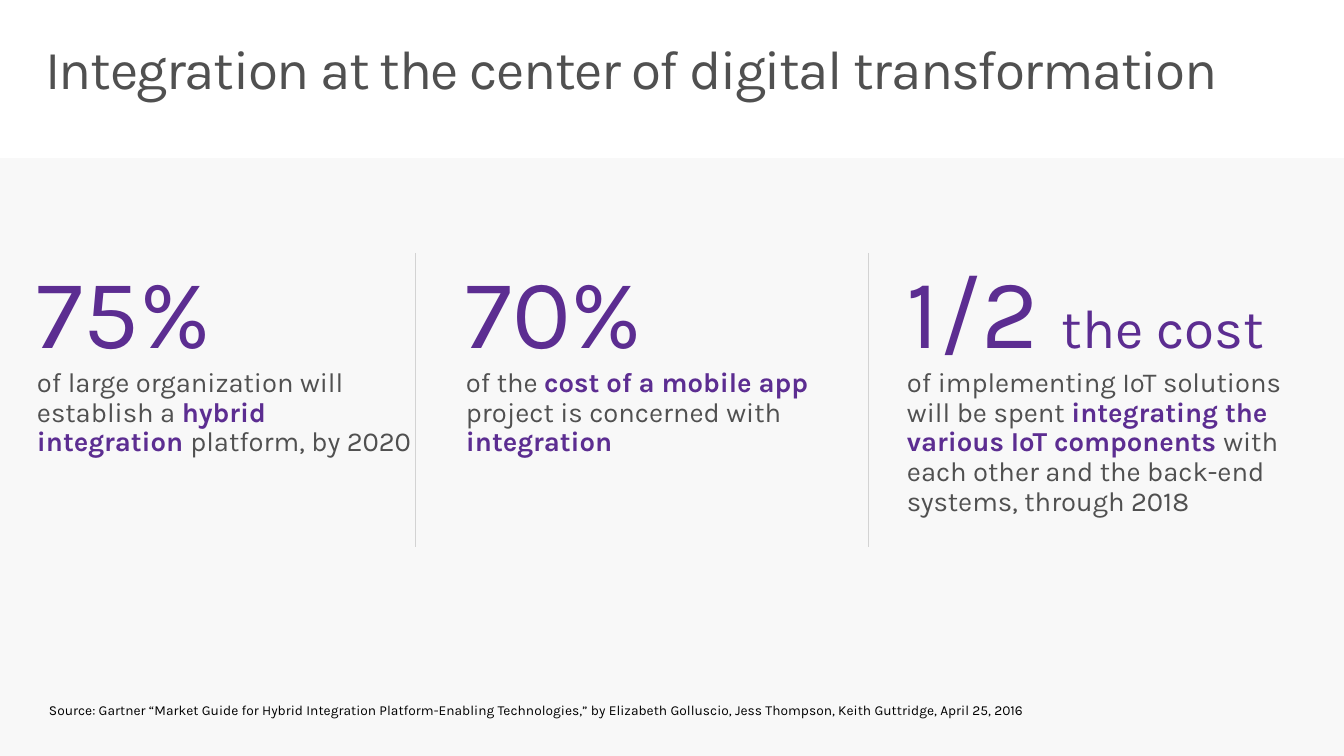
from pptx import Presentation
from pptx.dml.color import RGBColor
from pptx.enum.shapes import MSO_CONNECTOR as Connector, MSO_SHAPE as Shape
from pptx.enum.text import MSO_ANCHOR as Anchor, MSO_AUTO_SIZE as AutoSize, PP_ALIGN as Align
from pptx.oxml.ns import qn
from pptx.util import Emu, Pt
from lxml.etree import SubElement

FONT = "Karla"
WHITE = RGBColor(0xFF, 0xFF, 0xFF)
PAPER = RGBColor(0xF8, 0xF8, 0xF8)
GRAY = RGBColor(0x50, 0x50, 0x50)
RULE = RGBColor(0xD3, 0xD3, 0xD3)
PURPLE = RGBColor(0x5C, 0x2D, 0x91)
BLACK = RGBColor(0, 0, 0)

WIDTH, HEIGHT = 1344, 756
STAT_TOP, STAT_HEIGHT = 253, 128
DETAIL_TOP = 359
RULE_BOTTOM = 547
RULES = [416, 869]

STATS = [
    (21, 411, 110, [("75%", 70.6, 0)],
     [("of large organization will establish a ", False),
      ("hybrid integration ", True),
      ("platform, by 2020", False)]),
    (450, 395, 110, [("70%", 70.6, 0)],
     [("of the ", False),
      ("cost of a mobile app ", True),
      ("project is concerned with ", False),
      ("integration", True)]),
    (891, 423, 169, [("1/2 ", 70.6, -0.3), ("t", 39.2, -0.3), ("he cost", 39.2, 0)],
     [("of implementing IoT solutions will be spent ", False),
      ("integrating the various IoT components ", True),
      ("with each other and the back-end systems, through 2018", False)]),
]


def px(length):
    return Emu(round(length * 914400 / 100.8))


def set_frame(frame, side=16):
    frame.word_wrap = True
    frame.auto_size = AutoSize.NONE
    frame.vertical_anchor = Anchor.TOP
    frame.margin_left = frame.margin_right = px(side)
    frame.margin_top = frame.margin_bottom = px(10)
    return frame.paragraphs[0]


def set_font(para, size, color):
    para.font.name = FONT
    para.font.size = Pt(size)
    para.font.color.rgb = color


def add_span(para, text, spacing=0):
    span = para.add_run()
    span.text = text
    if spacing:
        span._r.get_or_add_rPr().set("spc", str(round(spacing * 100)))
    return span


def add_box(page, left, top, width, height, side=16):
    box = page.shapes.add_textbox(px(left), px(top), px(width), px(height))
    return set_frame(box.text_frame, side)


def add_band(page):
    band = page.shapes.add_shape(Shape.RECTANGLE, 0, 0, px(WIDTH), px(158))
    band.shadow.inherit = False
    band.fill.solid()
    band.fill.fore_color.rgb = WHITE
    band.line.fill.background()
    page.shapes.title.element.addprevious(band.element)


def set_title(page, text):
    title = page.shapes.title
    title.left, title.top = px(29), px(32)
    title.width, title.height = px(1285), px(99)
    para = set_frame(title.text_frame)
    para.alignment = Align.LEFT
    para.line_spacing = 0.9
    set_font(para, 39.2, GRAY)
    add_span(para, text, -1)


def add_rule(page, x):
    rule = page.shapes.add_connector(
        Connector.STRAIGHT, px(x), px(STAT_TOP), px(x), px(RULE_BOTTOM))
    rule.line.color.rgb = RULE
    rule.line.width = Pt(0.75)
    SubElement(rule.element.spPr, qn("a:effectLst"))


def add_stat(page, left, width, detail_height, figure, detail):
    para = add_box(page, left, STAT_TOP, width, STAT_HEIGHT)
    para.line_spacing = 0.9
    set_font(para, 70.6, PURPLE)
    for text, size, spacing in figure:
        add_span(para, text, spacing).font.size = Pt(size)

    para = add_box(page, left, DETAIL_TOP, width, detail_height)
    para.line_spacing = 0.9
    set_font(para, 19.6, GRAY)
    for text, strong in detail:
        span = add_span(para, text)
        if strong:
            span.font.bold = True
            span.font.color.rgb = PURPLE


def add_source(page, text):
    para = add_box(page, 29, 692, 1302, 36, side=20)
    set_font(para, 9.8, BLACK)
    add_span(para, text)


def main():
    deck = Presentation()
    deck.slide_width, deck.slide_height = px(WIDTH), px(HEIGHT)
    page = deck.slides.add_slide(deck.slide_layouts[5])
    page.background.fill.solid()
    page.background.fill.fore_color.rgb = PAPER
    add_band(page)
    set_title(page, "Integration at the center of digital transformation")
    for x in RULES:
        add_rule(page, x)
    for stat in STATS:
        add_stat(page, *stat)
    add_source(page, "Source: Gartner “Market Guide for Hybrid Integration "
                     "Platform-Enabling Technologies,” by Elizabeth Golluscio, "
                     "Jess Thompson, Keith Guttridge, April 25, 2016")
    deck.save("out.pptx")


if __name__ == "__main__":
    main()
